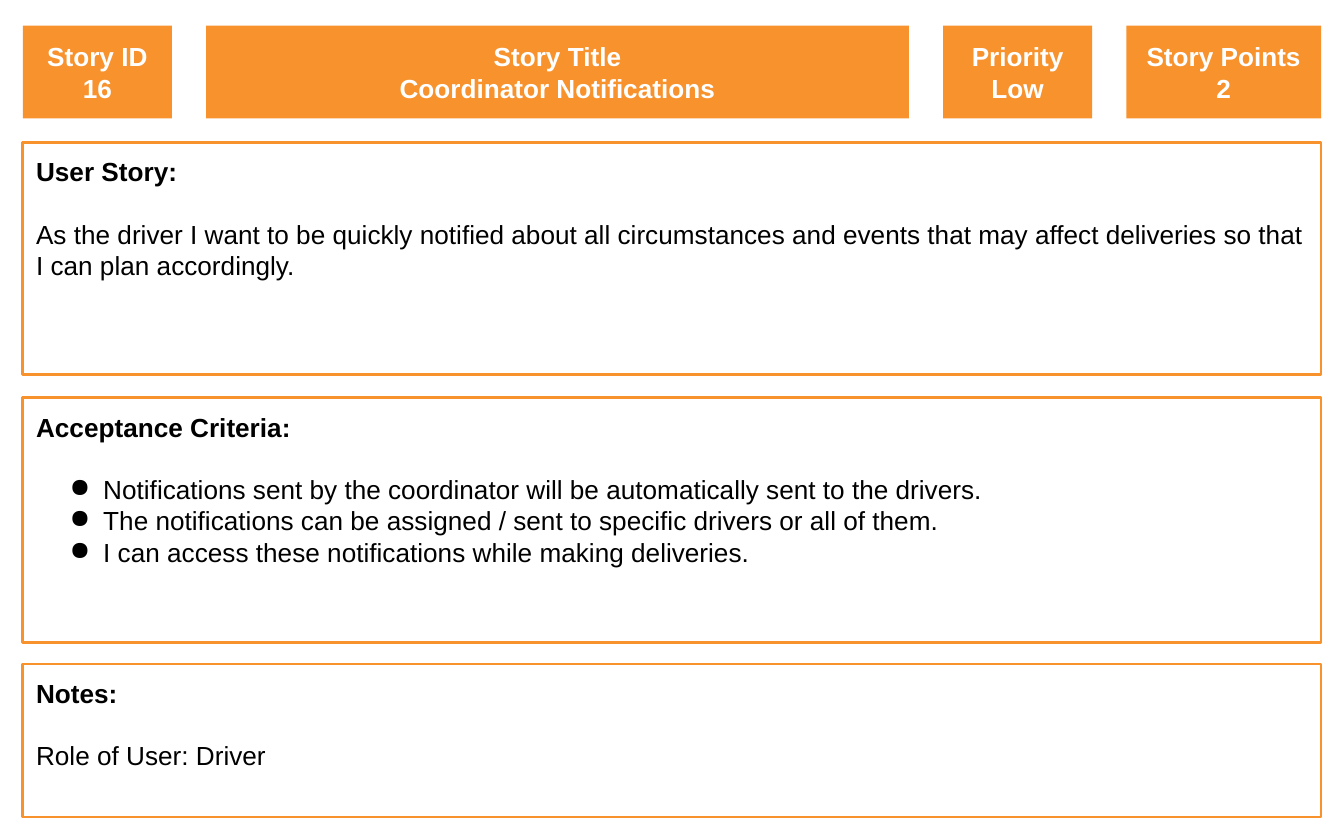
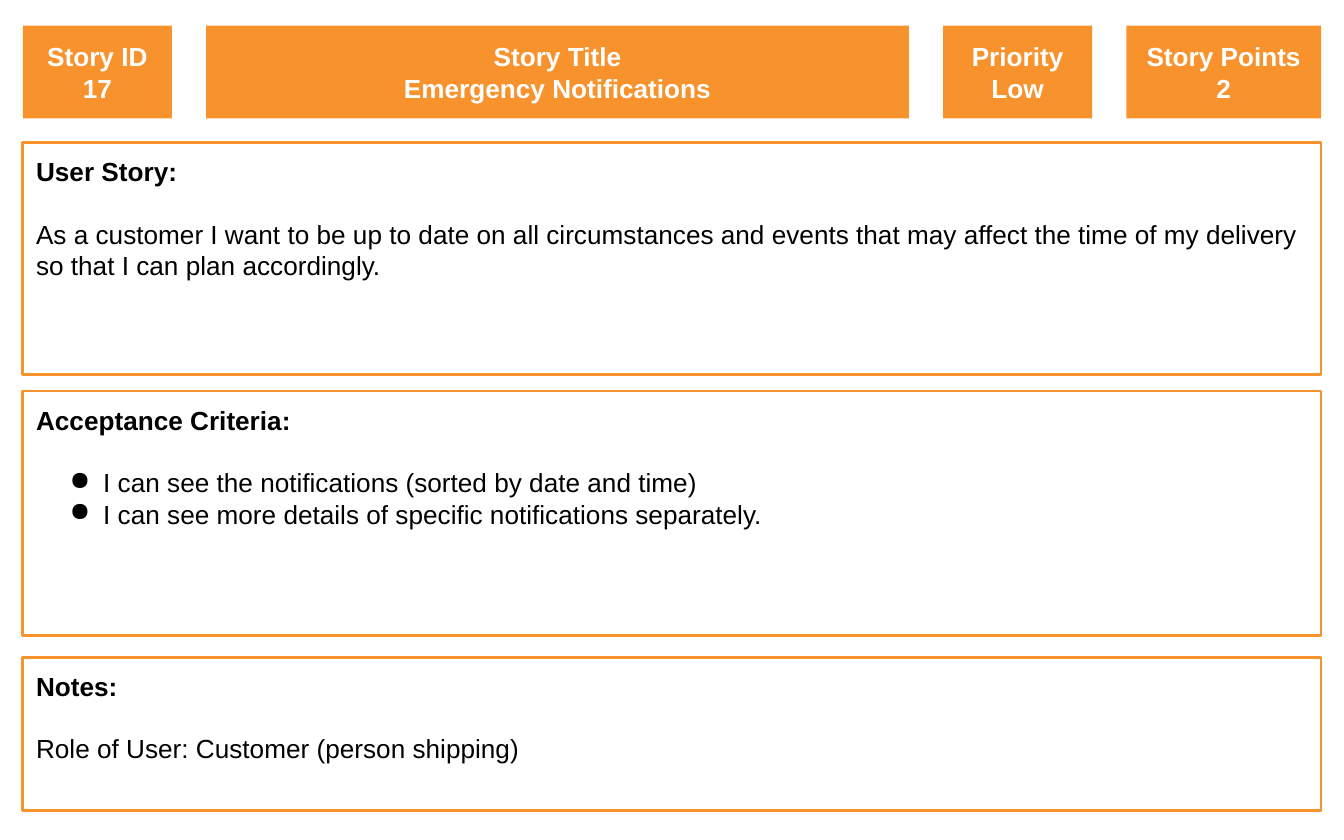
from lxml import etree
from pptx import Presentation
from pptx.dml.color import RGBColor
from pptx.enum.shapes import MSO_SHAPE as SHAPE
from pptx.enum.text import MSO_ANCHOR as ANCHOR, PP_ALIGN as ALIGN
from pptx.oxml.ns import qn
from pptx.util import Inches, Pt

COLORS = {"orange": "F7922D", "white": "FFFFFF", "black": "000000"}
WIDTH, HEIGHT = Inches(10), Inches(6.25)

# Layout in percent of the slide's width (columns) and height (rows)
MARGIN = 1.7
HEADER_TOP, HEADER_HEIGHT = 3.04, 11.04
HEADER_WIDTHS = [11.1, 52.3, 11.1, 14.5]
PANELS_TOP = 16.96
PANEL_HEIGHTS = [27.68, 29.12, 18.24]

HEADER_LABELS = ["Story ID", "Story Title", "Priority", "Story Points"]
PANEL_LABELS = ["User Story:", "Acceptance Criteria:", "Notes:"]
FONT = {"name": "Arial", "size": Pt(14)}
BLANK_LINE = Pt(16.5)

STORIES = [
    {
        "header": ["16", "Coordinator Notifications", "Low", "2"],
        "story": "As the driver I want to be quickly notified about all circumstances "
                 "and events that may affect deliveries so that I can plan accordingly.",
        "criteria": [
            "Notifications sent by the coordinator will be automatically sent to the drivers.",
            "The notifications can be assigned / sent to specific drivers or all of them.",
            "I can access these notifications while making deliveries.",
        ],
        "notes": "Role of User: Driver",
        "gaps": [2.72, 2.56],
    },
    {
        "header": ["17", "Emergency Notifications", "Low", "2"],
        "story": "As a customer I want to be up to date on all circumstances and events "
                 "that may affect the time of my delivery so that I can plan accordingly.",
        "criteria": [
            "I can see the notifications (sorted by date and time)",
            "I can see more details of specific notifications separately.",
        ],
        "notes": "Role of User: Customer (person shipping)",
        "gaps": [1.92, 2.56],
    },
]


def rgb(name):
    return RGBColor.from_string(COLORS[name])


def add_box(slide, left, top, width, height, fill, anchor):
    """Add a rectangle placed in percent of the slide."""
    sp = slide.shapes.add_shape(
        SHAPE.RECTANGLE, int(WIDTH * left / 100), int(HEIGHT * top / 100),
        int(WIDTH * width / 100), int(HEIGHT * height / 100))
    sp.shadow.inherit = False
    sp.fill.solid()
    sp.fill.fore_color.rgb = rgb(fill)
    tf = sp.text_frame
    layout = {"word_wrap": True, "vertical_anchor": anchor}
    layout.update({f"margin_{side}": Inches(0.1)
                   for side in ("left", "top", "right", "bottom")})
    for key, value in layout.items():
        setattr(tf, key, value)
    return sp


def add_line(tf, text, color, align, bold=False):
    """Write one paragraph, using the empty first one when it is free."""
    p = tf.paragraphs[0]
    if p.runs:
        p = tf.add_paragraph()
    p.alignment = align
    r = p.add_run()
    r.text = text
    for key, value in {**FONT, "bold": bold}.items():
        setattr(r.font, key, value)
    r.font.color.rgb = rgb(color)
    return p


def set_bullet(p):
    pPr = p._p.get_or_add_pPr()
    pPr.set("marL", str(Inches(0.5)))
    pPr.set("indent", str(Inches(-0.25)))
    color = etree.SubElement(pPr, qn("a:buClr"))
    etree.SubElement(color, qn("a:srgbClr"), val=COLORS["black"])
    etree.SubElement(pPr, qn("a:buChar"), char="●")


def add_header(slide, values):
    gap = (100 - 2 * MARGIN - sum(HEADER_WIDTHS)) / (len(HEADER_WIDTHS) - 1)
    left = MARGIN
    for label, value, width in zip(HEADER_LABELS, values, HEADER_WIDTHS):
        sp = add_box(slide, left, HEADER_TOP, width, HEADER_HEIGHT,
                     "orange", ANCHOR.MIDDLE)
        sp.line.fill.background()
        for text in (label, value):
            add_line(sp.text_frame, text, "white", ALIGN.CENTER, bold=True)
        left += width + gap


def add_panel(slide, top, height, label, lines, bulleted):
    sp = add_box(slide, MARGIN, top, 100 - 2 * MARGIN, height, "white", ANCHOR.TOP)
    sp.line.color.rgb = rgb("orange")
    sp.line.width = Pt(1.5)
    heading = add_line(sp.text_frame, label, "black", ALIGN.LEFT, bold=True)
    heading.space_after = BLANK_LINE
    for line in lines:
        p = add_line(sp.text_frame, line, "black", ALIGN.LEFT)
        if bulleted:
            set_bullet(p)


def add_story(prs, story):
    slide = prs.slides.add_slide(prs.slide_layouts[6])
    add_header(slide, story["header"])
    contents = [[story["story"]], story["criteria"], [story["notes"]]]
    top = PANELS_TOP
    for label, lines, height, gap in zip(
            PANEL_LABELS, contents, PANEL_HEIGHTS, story["gaps"] + [0]):
        add_panel(slide, top, height, label, lines, lines is story["criteria"])
        top += height + gap


def main():
    prs = Presentation()
    prs.slide_width, prs.slide_height = WIDTH, HEIGHT
    for story in STORIES:
        add_story(prs, story)
    prs.save("out.pptx")


if __name__ == "__main__":
    main()
